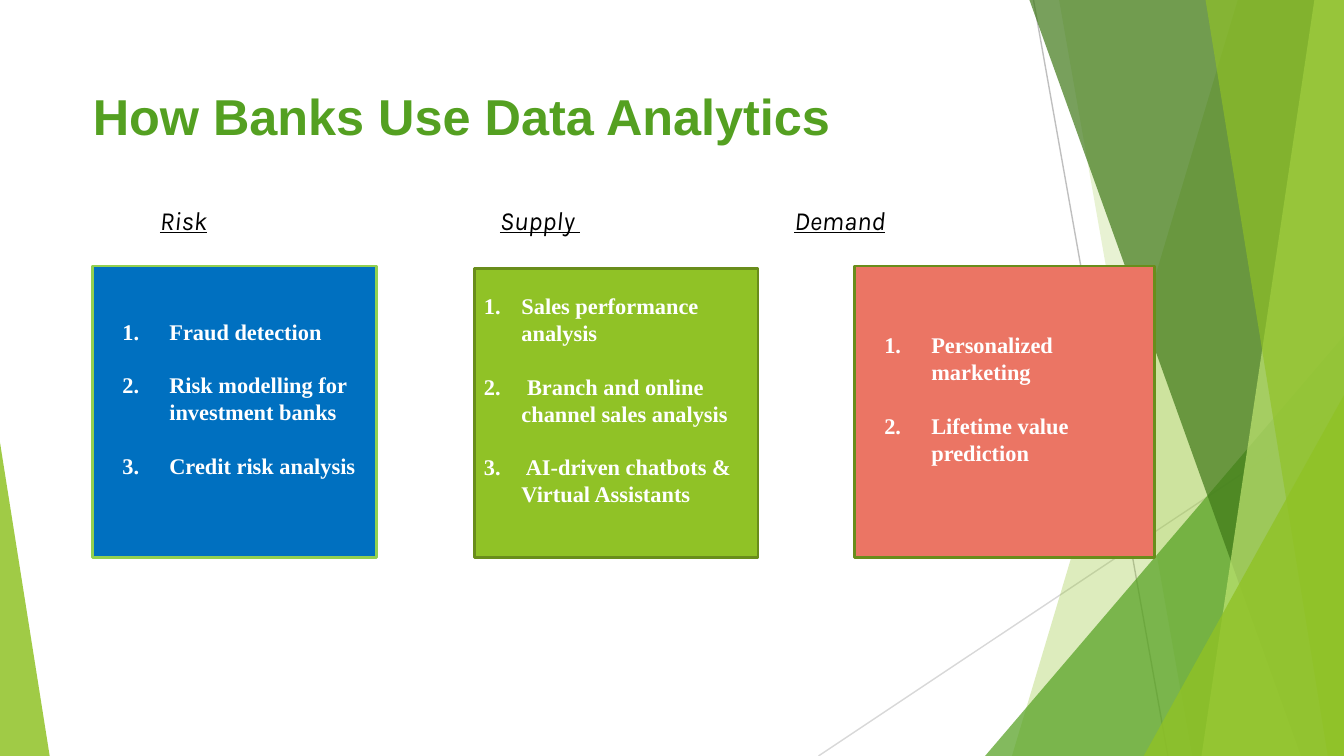
import pptx
import pptx.util
import pptx.dml.color
import pptx.enum.shapes
import pptx.enum.text
import pptx.oxml
import pptx.oxml.ns
import lxml.etree

Inches, Pt = pptx.util.Inches, pptx.util.Pt
RGBColor = pptx.dml.color.RGBColor
MSO_SHAPE = pptx.enum.shapes.MSO_SHAPE
MSO_ANCHOR = pptx.enum.text.MSO_ANCHOR
qn = pptx.oxml.ns.qn

W = 10
H = W * 9 / 16
WHITE = RGBColor(0xFF, 0xFF, 0xFF)
BLACK = RGBColor(0, 0, 0)
LIME = RGBColor(0x90, 0xC2, 0x26)
GREEN = RGBColor(0x54, 0xA0, 0x21)
FOREST = RGBColor(0x3F, 0x78, 0x18)
PALE = RGBColor(0xBF, 0xE4, 0x71)
OLIVE = RGBColor(0x69, 0x8D, 0x1B)
BRIGHT = RGBColor(0x92, 0xD0, 0x50)
BLUE = RGBColor(0x00, 0x70, 0xC0)
CORAL = RGBColor(0xEB, 0x75, 0x64)
GRAY = RGBColor(0xBF, 0xBF, 0xBF)
SILVER = RGBColor(0xD8, 0xD8, 0xD8)

TITLE = "How Banks Use Data Analytics"
HEADINGS = [("Risk", 1.19), ("Supply ", 3.72), ("Demand", 5.91)]
CARDS = [
    (["Fraud detection", "Risk modelling for investment banks", "Credit risk analysis"],
     (0.69, 1.98, 2.11), BLUE, BRIGHT, 0.5, 0.35),
    (["Sales performance analysis", " Branch and online channel sales analysis",
      " AI-driven chatbots & Virtual Assistants"],
     (3.53, 2, 2.11), LIME, OLIVE, 0.28, 0.28),
    (["Personalized marketing", "Lifetime value prediction"],
     (6.36, 1.98, 2.23), CORAL, OLIVE, 0.5, 0.35),
]
CARD_BOTTOM = 4.15
LINES = [((7.69, 0), (8.69, H), GRAY), ((W, 3.02), (6.09, H), SILVER)]
BANDS = [
    ("band", (9.21, W, W, 7.53), LIME, 30),
    ("band", (7.88, W, W, 8.87), LIME, 20),
    ("triangle", (7.33, 2.5, 2.67, 1), GREEN, 72),
    ("band", (7.66, W, W, 9.68), FOREST, 70),
    ("band", (9.78, W, W, 8.94), PALE, 70),
    ("band", (8.97, W, W, 9.88), LIME, 65),
    ("triangle", (8.51, 2.94, 1.49, 1), LIME, 80),
    ("triangle", (0, 3.29, 0.37, 0), LIME, 85),
]


def add_line(start, end, color):
    s = shapes.add_connector(pptx.enum.shapes.MSO_CONNECTOR.STRAIGHT,
                             *map(Inches, start + end))
    s.line.color.rgb = color
    s.line.width = Pt(0.75)
    lxml.etree.SubElement(s._element.spPr, qn("a:effectLst"))


def add_band(kind, geometry, color, opacity):
    if kind == "triangle":
        left, top, width, apex = geometry
        s = shapes.add_shape(MSO_SHAPE.ISOSCELES_TRIANGLE,
                             *map(Inches, (left, top, width, H - top)))
        s.adjustments[0] = apex
    else:
        corners = [(Inches(x), Inches(y)) for x, y in zip(geometry, (0, 0, H, H))]
        builder = shapes.build_freeform(*corners[0], scale=1.0)
        builder.add_line_segments(corners[1:], close=True)
        s = builder.convert_to_shape()
    s.shadow.inherit = False
    s.fill.solid()
    s.fill.fore_color.rgb = color
    s.line.fill.background()
    clr = s._element.spPr.find(".//" + qn("a:srgbClr"))
    lxml.etree.SubElement(clr, qn("a:alpha")).set("val", str(opacity * 1000))


def set_frame(tf, anchor, bottom=0.04):
    tf.word_wrap = True
    tf.auto_size = pptx.enum.text.MSO_AUTO_SIZE.NONE
    tf.vertical_anchor = anchor
    tf.margin_left = tf.margin_right = Inches(0.07)
    tf.margin_top, tf.margin_bottom = Inches(0.04), Inches(bottom)


def style(p, name, size, color, **flags):
    p.alignment = pptx.enum.text.PP_ALIGN.LEFT
    for r in p.runs:
        r.font.name, r.font.size = name, Pt(size)
        r.font.color.rgb = color
        for flag, value in flags.items():
            setattr(r.font, flag, value)


def number(p, indent, hanging):
    pPr = p._p.get_or_add_pPr()
    pPr.set("marL", str(Inches(indent)))
    pPr.set("indent", str(-Inches(hanging)))
    lxml.etree.SubElement(pPr, qn("a:buFont")).set("typeface", "Times New Roman")
    lxml.etree.SubElement(pPr, qn("a:buAutoNum")).set("type", "arabicPeriod")


def add_card(items, place, fill, border, indent, hanging):
    left, top, width = place
    s = shapes.add_shape(MSO_SHAPE.RECTANGLE,
                         *map(Inches, (left, top, width, CARD_BOTTOM - top)))
    s.shadow.inherit = False
    s.fill.solid()
    s.fill.fore_color.rgb = fill
    s.line.color.rgb = border
    s.line.width = Pt(1.5)
    tf = s.text_frame
    set_frame(tf, MSO_ANCHOR.MIDDLE, bottom=0.24)
    tf.text = "\n".join(items)
    for i, p in enumerate(tf.paragraphs):
        number(p, indent, hanging)
        if i:
            p.space_before = Pt(14.3)
        style(p, "Times New Roman", 12, WHITE, bold=True)


prs = pptx.Presentation()
prs.slide_width, prs.slide_height = Inches(W), Inches(H)
slide = prs.slides.add_slide(prs.slide_layouts[5])
shapes = slide.shapes
title = shapes.title

for line in LINES:
    add_line(*line)
for band in BANDS:
    add_band(*band)

shapes._spTree.append(title._element)
title.left, title.top, title.width, title.height = map(Inches, (0.62, 0.59, 7.05, 1.08))
title.text_frame.text = TITLE
set_frame(title.text_frame, MSO_ANCHOR.TOP)
style(title.text_frame.paragraphs[0], "Arial", 27, GREEN, bold=True)

for text, x in HEADINGS:
    s = shapes.add_textbox(*map(Inches, (x - 0.07, 1.48, 1.2, 0.32)))
    s.text_frame.text = text
    set_frame(s.text_frame, MSO_ANCHOR.TOP)
    style(s.text_frame.paragraphs[0], "Karla", 14, BLACK, italic=True, underline=True)

for card in CARDS:
    add_card(*card)

prs.save("out.pptx")
